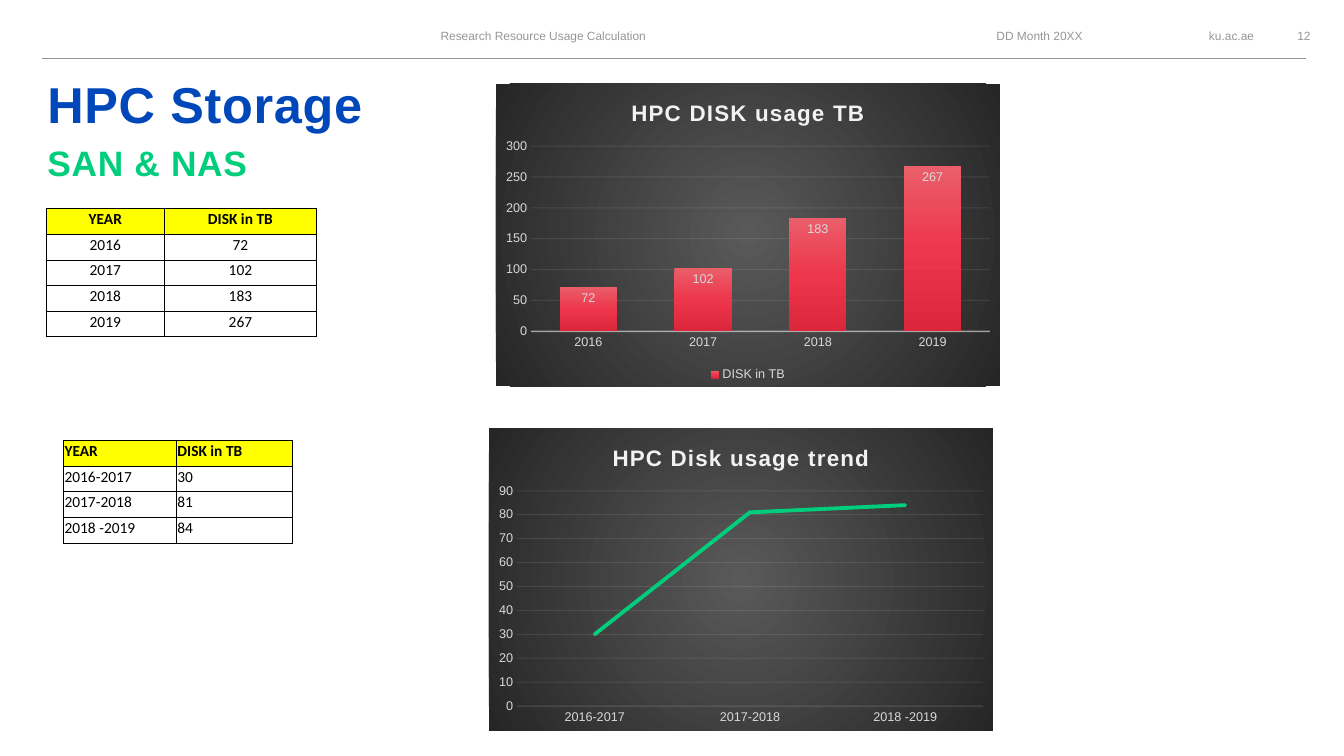
"""Build the HPC storage slide with two tables and two charts."""
import dataclasses
import pptx
import pptx.chart.data
import pptx.dml.color
import pptx.enum.chart
import pptx.enum.shapes
import pptx.enum.text
import pptx.oxml
import pptx.oxml.ns
import pptx.util

ALIGN = pptx.enum.text.PP_ALIGN
ANCHOR = pptx.enum.text.MSO_ANCHOR
KIND = pptx.enum.chart.XL_CHART_TYPE
Pt = pptx.util.Pt
qn = pptx.oxml.ns.qn


@dataclasses.dataclass(frozen=True)
class Theme:
    sans: str = "Arial"
    grid: str = "Calibri"
    grey: str = "96969A"
    blue: str = "0047BA"
    green: str = "00CE7C"
    black: str = "000000"
    yellow: str = "FFFF00"
    pale: str = "F2F2F2"
    label: str = "D9D9D9"
    dark: tuple = ((0, "595959"), (100, "262626"))
    red: tuple = ((0, "EA5E6A"), (50, "ED364B"), (100, "DC263B"))
    small: float = 8.5
    tick: float = 9
    cell: float = 11
    name: float = 16
    sub: float = 25.2
    head: float = 36


T = Theme()
WIDE, HIGH = 13.33, 7.5

TEXTS = [
    ("ku.ac.ae", (85.43, 2.93, 7.88, 3.6), ALIGN.RIGHT, T.small, T.grey),
    ("DD Month 20XX", (66.3, 2.93, 14.25, 3.6), ALIGN.RIGHT, T.small, T.grey),
    ("Research Resource Usage Calculation", (23.55, 2.93, 33.75, 3.6),
     ALIGN.CENTER, T.small, T.grey),
    ("12", (94.88, 2.93, 4.28, 3.6), ALIGN.CENTER, T.small, T.grey),
    ("HPC Storage", (3.53, 8.13, 32.85, 9.6), ALIGN.LEFT, T.head, T.blue),
    ("SAN & NAS", (3.53, 17.87, 34.28, 6.4), ALIGN.LEFT, T.sub, T.green),
]
RULE = (3.15, 7.73, 97.2, 7.73)
HEADS = ("YEAR", "DISK in TB")
USAGE = [("2016", 72), ("2017", 102), ("2018", 183), ("2019", 267)]
TREND = [("2016-2017", 30), ("2017-2018", 81), ("2018 -2019", 84)]
ROW = 3.39
TABLES = [
    (USAGE, (3.45, 27.6), (8.78, 11.33), ALIGN.CENTER),
    (TREND, (4.73, 58.27), (8.4, 8.63), ALIGN.LEFT),
]
CHARTS = [
    ("HPC DISK usage TB", HEADS[1], USAGE, KIND.COLUMN_CLUSTERED,
     (36.9, 11.07, 37.5, 40), 300, 50, (54, 1)),
    ("HPC Disk usage trend", "Series 1", TREND, KIND.LINE,
     (36.38, 56.67, 37.5, 40), 90, 10, (10, 0.75)),
]


def across(share):
    return pptx.util.Inches(WIDE * share / 100)


def down(share):
    return pptx.util.Inches(HIGH * share / 100)


def place(box):
    return [(across, down)[i % 2](share) for i, share in enumerate(box)]


def tint(code):
    return pptx.dml.color.RGBColor.from_string(code)


def style(font, face, size, code, bold=False):
    font.name, font.size, font.bold = face, Pt(size), bold
    font.color.rgb = tint(code)


def node(text):
    space = pptx.oxml.ns.nsdecls("a", "c")
    return pptx.oxml.parse_xml(text.replace(">", f" {space}>", 1))


def blend(stops, tail):
    marks = "".join(f'<a:gs pos="{at * 1000}"><a:srgbClr val="{code}"/></a:gs>'
                    for at, code in stops)
    return f"<a:gradFill><a:gsLst>{marks}</a:gsLst>{tail}</a:gradFill>"


def write(para, text, align, *look, gap=0):
    para.alignment = align
    run = para.add_run()
    run.text = text
    style(run.font, *look)
    if gap:
        run.font._element.set("spc", str(gap))


def add_text(slide, text, box, align, size, code):
    frame = slide.shapes.add_textbox(*place(box)).text_frame
    frame.word_wrap = True
    frame.margin_left = frame.margin_right = 0
    frame.margin_top = frame.margin_bottom = 0
    big = size > T.small
    frame.vertical_anchor = ANCHOR.BOTTOM if big else ANCHOR.MIDDLE
    write(frame.paragraphs[0], text, align, T.sans, size, code, big,
          gap=50 if big else 0)


def add_rule(slide):
    rule = slide.shapes.add_connector(
        pptx.enum.shapes.MSO_CONNECTOR.STRAIGHT, *place(RULE))
    rule.line.color.rgb = tint(T.grey)
    rule.line.width = Pt(0.75)
    rule._element.spPr.append(node("<a:effectLst></a:effectLst>"))


def add_table(slide, data, spot, cols, align):
    rows = [HEADS, *data]
    box = (*spot, sum(cols), ROW * len(rows))
    table = slide.shapes.add_table(len(rows), len(cols), *place(box)).table
    table.horz_banding = table.first_row = False
    for col, share in zip(table.columns, cols):
        col.width = across(share)
    for r, row in enumerate(rows):
        table.rows[r].height = down(ROW)
        for c, value in enumerate(row):
            cell = table.cell(r, c)
            cell.margin_left = cell.margin_right = pptx.util.Inches(0.01)
            cell.margin_top = pptx.util.Inches(0.01)
            cell.margin_bottom = pptx.util.Inches(0.05)
            cell.vertical_anchor = ANCHOR.MIDDLE
            write(cell.text_frame.paragraphs[0], str(value), align,
                  T.grid, T.cell, T.black, r == 0)
            if r == 0:
                cell.fill.solid()
                cell.fill.fore_color.rgb = tint(T.yellow)
            else:
                cell.fill.background()
            props = cell._tc.get_or_add_tcPr()
            for i, side in enumerate("LRTB"):
                props.insert(i, node(
                    f'<a:ln{side} w="6350"><a:solidFill><a:srgbClr '
                    f'val="{T.black}"/></a:solidFill></a:ln{side}>'))


def fade(line, share, width):
    line.color.rgb = tint(T.pale)
    line.width = Pt(width)
    shade = line._get_or_add_ln().find(".//" + qn("a:srgbClr"))
    shade.append(node(f'<a:alpha val="{share * 1000}"></a:alpha>'))


def add_chart(slide, title, name, data, kind, box, top, step, base):
    feed = pptx.chart.data.CategoryChartData()
    feed.categories = [key for key, _ in data]
    feed.add_series(name, [value for _, value in data])
    chart = slide.shapes.add_chart(kind, *place(box), feed).chart
    style(chart.font, T.sans, T.tick, T.label)
    chart.has_title = True
    write(chart.chart_title.text_frame.paragraphs[0], title, ALIGN.CENTER,
          T.sans, T.name, T.pale, True, gap=100)
    focus = ('<a:path path="circle"><a:fillToRect l="50000" t="50000" '
             'r="50000" b="50000"/></a:path>')
    chart.element.find(qn("c:chart")).addnext(node(
        f"<c:spPr>{blend(T.dark, focus)}<a:ln><a:noFill/></a:ln></c:spPr>"))
    value, cat = chart.value_axis, chart.category_axis
    value.minimum_scale, value.maximum_scale = 0, top
    value.major_unit = step
    value.has_major_gridlines = True
    fade(value.major_gridlines.format.line, 10, 0.75)
    value.format.line.fill.background()
    fade(cat.format.line, *base)
    for axis in (value, cat):
        axis.major_tick_mark = pptx.enum.chart.XL_TICK_MARK.NONE
        style(axis.tick_labels.font, T.sans, T.tick, T.label)
    plot = chart.plots[0]
    plot.vary_by_categories = False
    series = plot.series[0]
    chart.has_legend = kind == KIND.COLUMN_CLUSTERED
    if chart.has_legend:
        chart.legend.position = pptx.enum.chart.XL_LEGEND_POSITION.BOTTOM
        chart.legend.include_in_layout = False
        style(chart.legend.font, T.sans, T.tick, T.label)
        plot.gap_width, plot.overlap = 100, -24
        series._element.get_or_add_spPr().append(
            node(blend(T.red, '<a:lin ang="5400000" scaled="0"/>')))
        plot.has_data_labels = True
        labels = plot.data_labels
        labels.show_value = True
        labels.position = pptx.enum.chart.XL_LABEL_POSITION.INSIDE_END
        style(labels.font, T.sans, T.tick, T.label)
    else:
        series.smooth = False
        series.marker.style = pptx.enum.chart.XL_MARKER_STYLE.NONE
        series.format.line.color.rgb = tint(T.green)
        series.format.line.width = Pt(2.75)
        series.format.line._get_or_add_ln().set("cap", "rnd")


def main():
    deck = pptx.Presentation()
    deck.slide_width, deck.slide_height = place((100, 100))
    slide = deck.slides.add_slide(deck.slide_layouts[6])
    add_rule(slide)
    for job, items in ((add_text, TEXTS), (add_table, TABLES),
                       (add_chart, CHARTS)):
        for item in items:
            job(slide, *item)
    deck.save("out.pptx")


if __name__ == "__main__":
    main()
